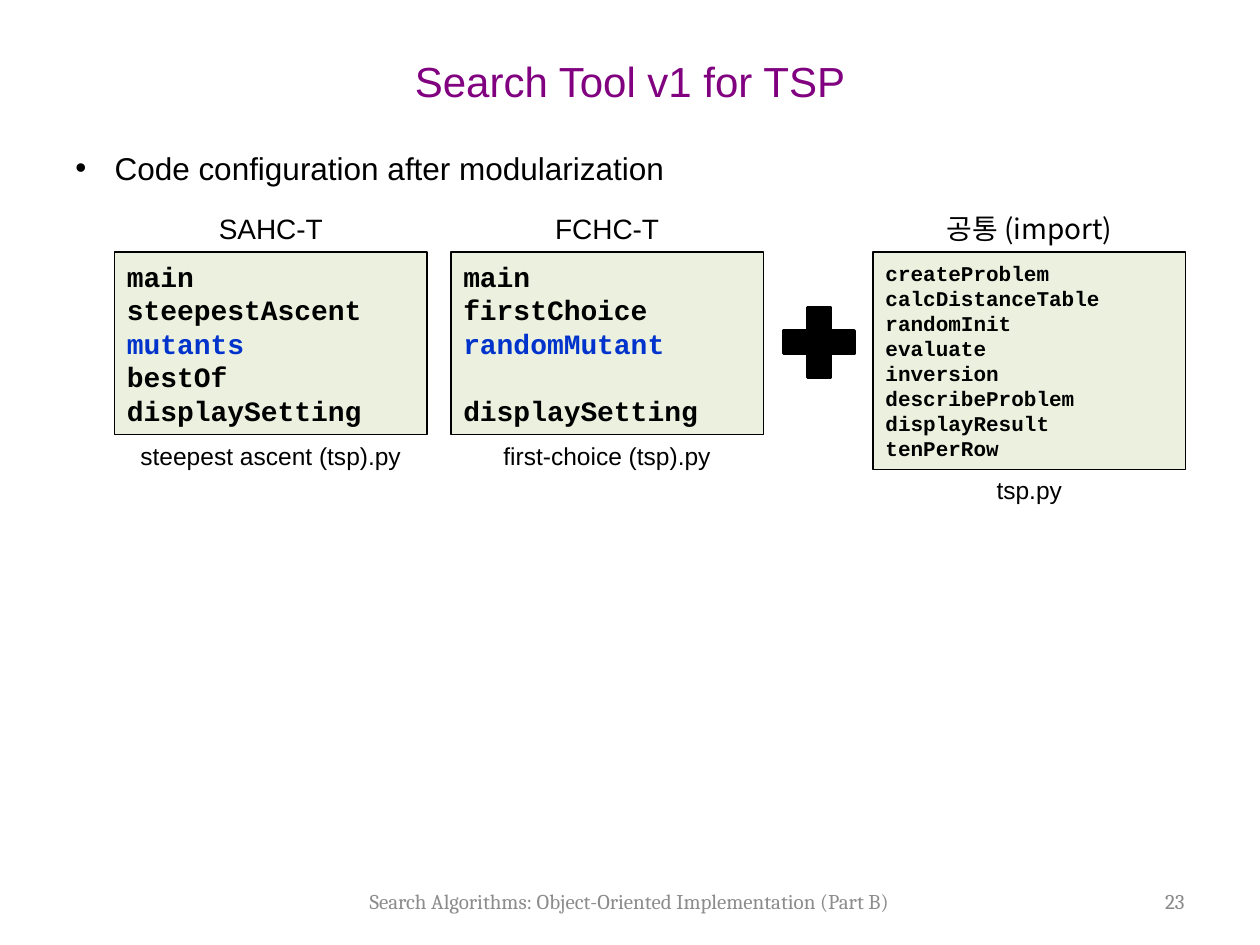
from lxml.etree import SubElement
from pptx import Presentation
from pptx.dml.color import RGBColor
from pptx.enum.shapes import MSO_SHAPE
from pptx.enum.text import MSO_ANCHOR, PP_ALIGN
from pptx.oxml.ns import qn
from pptx.util import Cm, Pt

BLACK, BLUE = "000000", "0033CC"
BOX_WIDTH, BOX_TOP = 6.3, 5.08
LABEL_HEIGHT = 0.94


def rgb(value):
    """Turn a hex string into a colour."""
    return RGBColor.from_string(value)


def add_run(p, text, size, font="Arial", color=BLACK, bold=False):
    """Append one formatted run to a paragraph."""
    r = p.add_run()
    r.text = text
    r.font.size = Pt(size)
    r.font.name = font
    r.font.bold = bold
    r.font.color.rgb = rgb(color)
    if not text.isascii():
        SubElement(r.font._element, qn("a:ea"), typeface=font)


def add_text(s, box, text, size, font="Arial", color=BLACK,
             align=PP_ALIGN.CENTER, anchor=MSO_ANCHOR.TOP):
    """Add a one-paragraph text box and return its paragraph."""
    tf = s.shapes.add_textbox(*map(Cm, box)).text_frame
    tf.word_wrap = True
    tf.vertical_anchor = anchor
    p = tf.paragraphs[0]
    p.alignment = align
    add_run(p, text, size, font, color)
    return p


def add_bullet(s, box, text):
    """Add a bulleted line with a hanging indent."""
    p = add_text(s, box, text, 18, align=PP_ALIGN.LEFT)
    p.line_spacing = 1.2
    p.space_before = Pt(3.6)
    pPr = p._p.get_or_add_pPr()
    pPr.set("marL", str(Cm(0.79)))
    pPr.set("indent", str(Cm(-0.79)))
    SubElement(pPr, qn("a:buFont"), typeface="Arial")
    SubElement(pPr, qn("a:buChar"), char="•")


def add_shape(s, kind, box, fill, line_width):
    """Add a filled preset shape with a black outline."""
    sp = s.shapes.add_shape(kind, *map(Cm, box))
    sp.shadow.inherit = False
    sp.fill.solid()
    sp.fill.fore_color.rgb = rgb(fill)
    sp.line.color.rgb = rgb(BLACK)
    sp.line.width = Pt(line_width)
    return sp


def add_module(s, left, height, heading, heading_font, names, size, file_name,
               highlight=None, gap_before=None):
    """Add a box of function names with its heading and file name."""
    sp = add_shape(s, MSO_SHAPE.RECTANGLE, (left, BOX_TOP, BOX_WIDTH, height),
                   "EBF1DE", 0.75)
    tf = sp.text_frame
    tf.word_wrap = True
    tf.vertical_anchor = MSO_ANCHOR.MIDDLE
    pitch = Pt(size * 1.195)
    for i, name in enumerate(names):
        p = tf.add_paragraph() if i else tf.paragraphs[0]
        p.alignment = PP_ALIGN.LEFT
        p.line_spacing = pitch
        if name == gap_before:
            p.space_before = pitch
        add_run(p, name, size, "Courier New",
                BLUE if name == highlight else BLACK, True)
    add_text(s, (left, BOX_TOP - LABEL_HEIGHT, BOX_WIDTH, LABEL_HEIGHT),
             heading, 16, heading_font)
    add_text(s, (left, BOX_TOP + height, BOX_WIDTH, 0.86), file_name, 14)


def main():
    """Build the slide and save it."""
    prs = Presentation()
    prs.slide_width, prs.slide_height = Cm(25.4), Cm(19.05)
    s = prs.slides.add_slide(prs.slide_layouts[6])
    add_text(s, (1.27, 0.76, 22.86, 1.75), "Search Tool v1 for TSP", 24,
             color="800080", anchor=MSO_ANCHOR.MIDDLE)
    add_bullet(s, (1.27, 2.72, 22.86, 14.6),
               "Code configuration after modularization")
    add_module(s, 2.31, 3.68, "SAHC-T", "Arial",
               ["main", "steepestAscent", "mutants", "bestOf",
                "displaySetting"],
               16, "steepest ascent (tsp).py", highlight="mutants")
    add_module(s, 9.09, 3.68, "FCHC-T", "Arial",
               ["main", "firstChoice", "randomMutant", "displaySetting"],
               16, "first-choice (tsp).py", highlight="randomMutant",
               gap_before="displaySetting")
    add_module(s, 17.6, 4.38, "공통 (import)", "Noto Sans CJK KR",
               ["createProblem", "calcDistanceTable", "randomInit",
                "evaluate", "inversion", "describeProblem", "displayResult",
                "tenPerRow"],
               12, "tsp.py")
    add_shape(s, MSO_SHAPE.MATH_PLUS, (15.54, 5.94, 1.93, 1.93), BLACK, 2)
    add_text(s, (5.69, 17.65, 14, 1.02),
             "Search Algorithms: Object-Oriented Implementation (Part B)",
             12, "Cambria", "8C8C8C", anchor=MSO_ANCHOR.MIDDLE)
    add_text(s, (21.11, 17.65, 3.02, 1.02), "23", 12, "Cambria", "898989",
             PP_ALIGN.RIGHT, MSO_ANCHOR.MIDDLE)
    prs.save("out.pptx")


if __name__ == "__main__":
    main()
